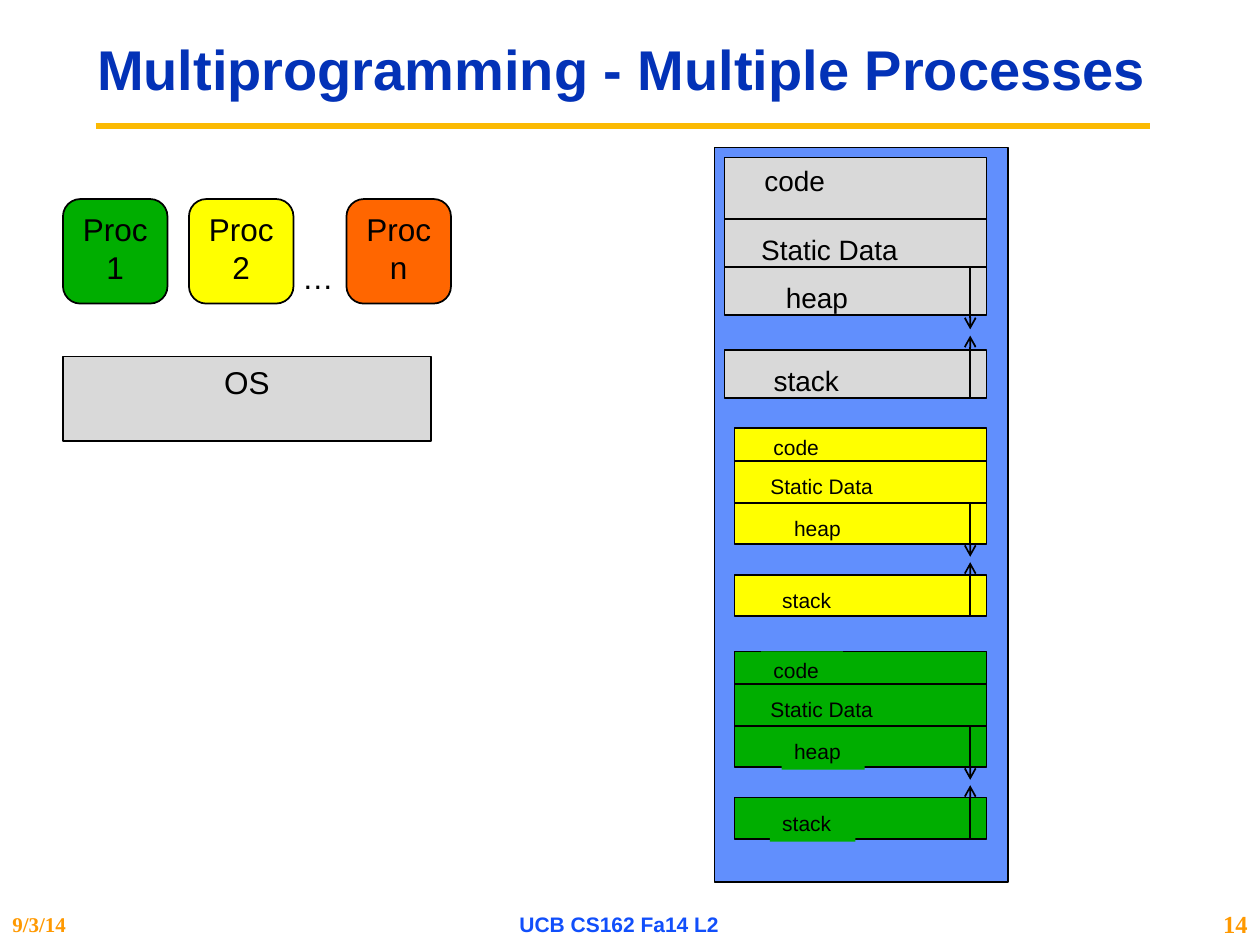
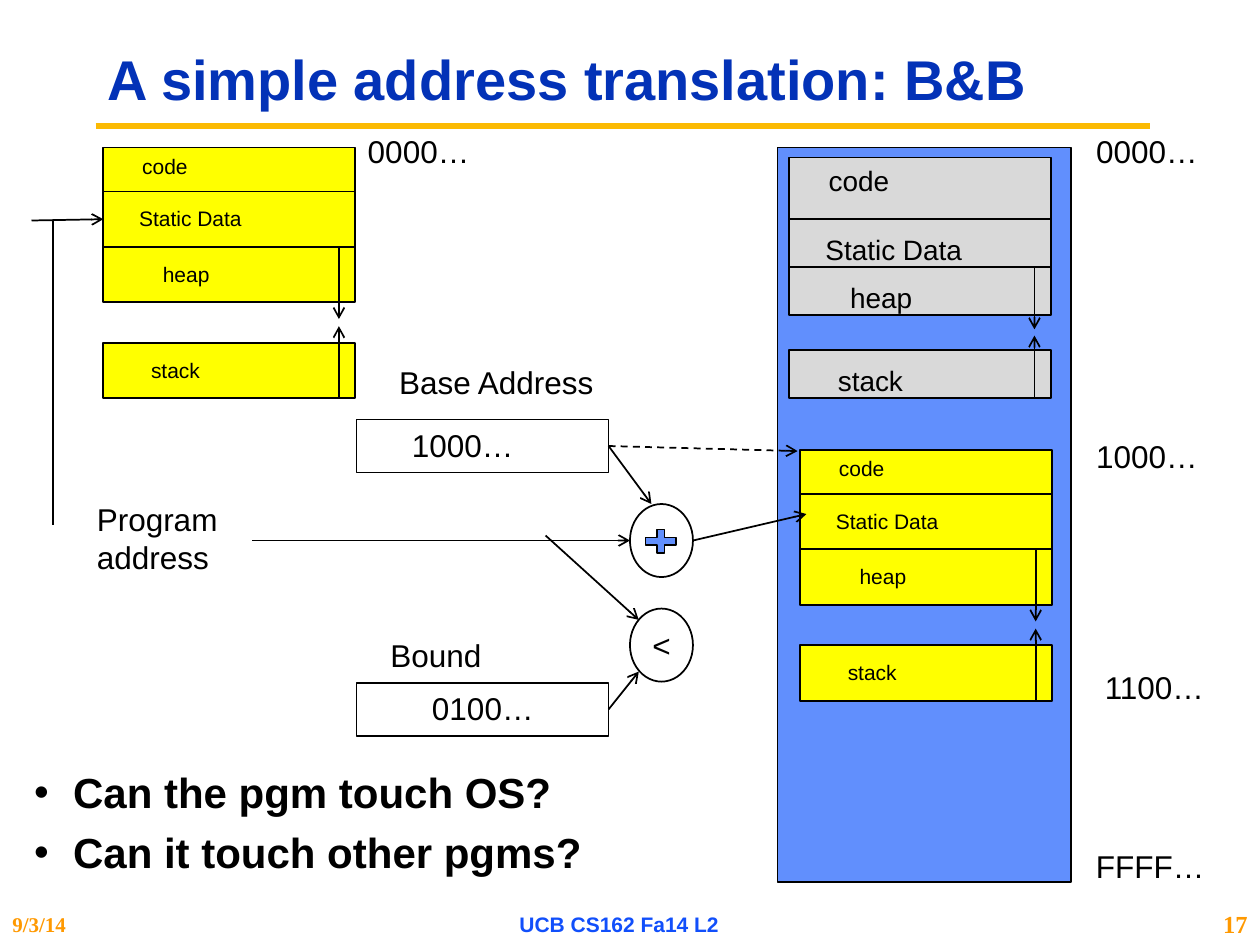
from lxml.etree import SubElement
from pptx import Presentation
from pptx.dml.color import RGBColor
from pptx.enum.dml import MSO_LINE
from pptx.enum.shapes import MSO_CONNECTOR, MSO_SHAPE
from pptx.enum.text import MSO_ANCHOR, MSO_AUTO_SIZE, PP_ALIGN
from pptx.oxml.ns import qn
from pptx.util import Cm, Pt

COLORS = {
    "title": "0332B7", "rule": "FBBA03", "footer": "114FFB", "date": "FF9900",
    "black": "000000", "grey": "D9D9D9", "memory": "618FFD",
    "green": "00AE00", "yellow": "FFFF00", "orange": "FF6600",
}
TITLE_ONLY, TITLE_AND_BODY = 5, 1
RIGHT_SIDE, LEFT_SIDE = 3, 1

# Segment name: label offset as a share of the block width, label width at 12 pt
SEGMENTS = {
    "code": (0.105, 0.65),
    "Static Data": (0.093, 1.17),
    "heap": (0.187, 0.66),
    "stack": (0.14, 0.68),
}


def inches(value):
    return Cm(value * 2.54)


def color(name):
    return RGBColor.from_string(COLORS[name])


class Deck:
    """Holds the style and the current slide; positions are in inches."""

    def __init__(self):
        self.presentation = Presentation()
        self.presentation.slide_width = inches(10)
        self.presentation.slide_height = inches(7.5)
        self.slide = None
        self.shapes = None

    def new_slide(self, layout, title, box, number):
        layouts = self.presentation.slide_layouts
        self.slide = self.presentation.slides.add_slide(layouts[layout])
        self.shapes = self.slide.shapes
        self.line((0.76, 1), (9.13, 1), "rule", 3.75, arrow=False)
        self.placeholder(self.shapes.title, box, [title], 32, "title",
                         MSO_ANCHOR.MIDDLE)
        # Footer
        bold = {"bold": True, "anchor": MSO_ANCHOR.MIDDLE}
        self.text("9/3/14", (0, 7.17, 1.67, 0.33), 12, "date",
                  font="Times New Roman", **bold)
        self.text("UCB CS162 Fa14 L2", (3.33, 7.17, 3.17, 0.33), 12, "footer",
                  align=PP_ALIGN.CENTER, **bold)
        self.text(str(number), (9.42, 7.17, 0.58, 0.33), 14, "date",
                  font="Times New Roman", align=PP_ALIGN.RIGHT, **bold)

    def fill_frame(self, frame, lines, size, ink="black", bold=False,
                   font="Arial", align=PP_ALIGN.LEFT, anchor=MSO_ANCHOR.TOP):
        frame.vertical_anchor = anchor
        frame.text = "\n".join(lines)
        for paragraph in frame.paragraphs:
            paragraph.alignment = align
            paragraph.font.name = font
            paragraph.font.size = Pt(size)
            paragraph.font.bold = bold
            paragraph.font.color.rgb = color(ink)

    def placeholder(self, shape, box, lines, size, ink, anchor):
        shape.left, shape.top, shape.width, shape.height = map(inches, box)
        frame = shape.text_frame
        frame.auto_size = MSO_AUTO_SIZE.NONE
        self.fill_frame(frame, lines, size, ink, bold=True, anchor=anchor)
        for paragraph in frame.paragraphs:
            paragraph.line_spacing = 0.9
            paragraph.space_before = Pt(0)

    def bullets(self, lines, box, size):
        body = self.slide.placeholders[1]
        self.placeholder(body, box, lines, size, "black", MSO_ANCHOR.TOP)
        for index, paragraph in enumerate(body.text_frame.paragraphs):
            if index:
                paragraph.space_before = Pt(8)
            properties = paragraph._p.get_or_add_pPr()
            properties.set("marL", str(inches(0.31)))
            properties.set("indent", str(-inches(0.31)))

    def text(self, text, box, size=18, ink="black", fill=None, **style):
        shape = self.shapes.add_textbox(*map(inches, box))
        shape.text_frame.word_wrap = False
        self.fill_frame(shape.text_frame, text.split("\n"), size, ink, **style)
        if fill:
            shape.fill.solid()
            shape.fill.fore_color.rgb = color(fill)
        return shape

    def box(self, box, fill=None, text=None, kind=MSO_SHAPE.RECTANGLE):
        shape = self.shapes.add_shape(kind, *map(inches, box))
        shape.shadow.inherit = False
        if fill:
            shape.fill.solid()
            shape.fill.fore_color.rgb = color(fill)
        else:
            shape.fill.background()
        shape.line.color.rgb = color("black")
        shape.line.width = Pt(1)
        if text:
            self.fill_frame(shape.text_frame, [text], 18,
                            align=PP_ALIGN.CENTER)
        return shape

    def line(self, start, end, ink="black", width=1, arrow=True, dashed=False,
             source=None, target=None):
        connector = self.shapes.add_connector(
            MSO_CONNECTOR.STRAIGHT, *map(inches, (*start, *end)))
        connector.line.color.rgb = color(ink)
        connector.line.width = Pt(width)
        if dashed:
            connector.line.dash_style = MSO_LINE.DASH
        if arrow:
            SubElement(connector.line._get_or_add_ln(), qn("a:tailEnd"),
                       type="arrow")
        SubElement(connector._element.spPr, qn("a:effectLst"))
        if source:
            connector.begin_connect(source, RIGHT_SIDE)
        if target:
            connector.end_connect(target, LEFT_SIDE)

    def memory(self, left):
        self.box((left, 1.17, 2.33, 5.83), "memory")

    def process(self, left, top, width, code, row, size, fill, backed=()):
        """Draw one address space; labels named in backed get the block's fill."""
        slide_shapes = self.shapes
        self.shapes = slide_shapes.add_group_shape().shapes
        heap = top + code + row
        stack = heap + 1.73 * row
        tops = (top, top + code, heap, stack)
        segments = {}
        for (name, (offset, label_width)), y in zip(SEGMENTS.items(), tops):
            height, drop = (code, 0) if name == "code" else (row, 0.15 * row)
            segments[name] = self.box((left, y, width, height), fill)
            self.text(name, (left + offset * width, y + drop,
                             label_width * size / 12, 0.3), size,
                      fill=fill if name in backed else None)
        # Stack grows up, heap grows down
        x = left + width - 0.13
        bottom = stack + row
        self.line((x, bottom), (x, bottom - 1.3 * row))
        self.line((x, heap), (x, heap + 1.3 * row))
        self.shapes = slide_shapes
        return segments

    def system(self, left):
        self.process(left, 1.25, 2.08, 0.49, 0.38, 16, "grey")


def multiprogramming(deck):
    deck.new_slide(TITLE_ONLY, "Multiprogramming - Multiple Processes",
                   (0.67, 0.17, 8.67, 0.81), 14)
    # Processes above the operating system
    deck.box((0.5, 2.83, 2.92, 0.67), "grey", "OS")
    for name, left, fill in (("Proc 1", 0.5, "green"), ("Proc 2", 1.5, "yellow"),
                             ("Proc n", 2.75, "orange")):
        deck.box((left, 1.58, 0.83, 0.83), fill, name,
                 MSO_SHAPE.ROUNDED_RECTANGLE)
    deck.text("…", (2.3, 2, 0.45, 0.4))
    # Memory shared by all
    deck.memory(5.67)
    deck.system(5.75)
    for top, fill, backed in ((3.4, "yellow", ["Static Data"]),
                              (5.17, "green", SEGMENTS)):
        deck.process(5.83, top, 2, 0.26, 0.33, 12, fill, backed)


def base_and_bound(deck):
    deck.new_slide(TITLE_AND_BODY, "A simple address translation: B&B",
                   (0.75, 0.25, 8.42, 0.81), 17)
    deck.bullets(["Can the pgm touch OS?", "Can it touch other pgms?"],
                 (0.17, 6.08, 5.83, 1.25), 24)
    # Physical memory and the program's own view
    deck.memory(6.17)
    deck.system(6.26)
    for left, top in ((6.35, 3.57), (0.82, 1.17)):
        program = deck.process(left, top, 2, 0.35, 0.44, 12, "yellow",
                               ["Static Data"])
    # Registers and operators
    base = deck.box((2.83, 3.33, 2, 0.42))
    bound = deck.box((2.83, 5.42, 2, 0.42))
    deck.box((5.08, 4.17, 0.33, 0.25), "memory", kind=MSO_SHAPE.MATH_PLUS)
    for top in (4, 4.83):
        deck.box((5, top, 0.5, 0.58), kind=MSO_SHAPE.OVAL)
    # Addresses and captions
    for text, left, top, width in (
            ("0000…", 8.6, 1, 1.02), ("FFFF…", 8.6, 6.67, 1.07),
            ("1000…", 8.6, 3.42, 1.02), ("1100…", 8.67, 5.25, 1),
            ("0000…", 2.82, 1, 1.02), ("1000…", 3.17, 3.33, 1.02),
            ("0100…", 3.33, 5.42, 1.02), ("Base Address", 3.07, 2.83, 1.76),
            ("Bound", 3, 5, 0.93), ("<", 5.08, 4.92, 0.35)):
        deck.text(text, (left, top, width, 0.4))
    deck.text("Program\naddress", (0.67, 3.92, 1.17, 0.71))
    # Data flow
    deck.line((4.83, 3.54), (6.33, 3.58), dashed=True, source=base)
    deck.line((4.83, 3.54), (5.17, 4), source=base)
    deck.line((4.83, 5.63), (5.07, 5.33), source=bound)
    deck.line((0.25, 1.75), (0.82, 1.74), target=program["Static Data"])
    deck.line((2, 4.29), (5, 4.29))
    deck.line((5.5, 4.29), (6.4, 4.08))
    deck.line((4.33, 4.25), (5.07, 4.92))
    deck.line((0.42, 1.75), (0.42, 4.17), arrow=False)


def main():
    deck = Deck()
    multiprogramming(deck)
    base_and_bound(deck)
    deck.presentation.save("out.pptx")


if __name__ == "__main__":
    main()
